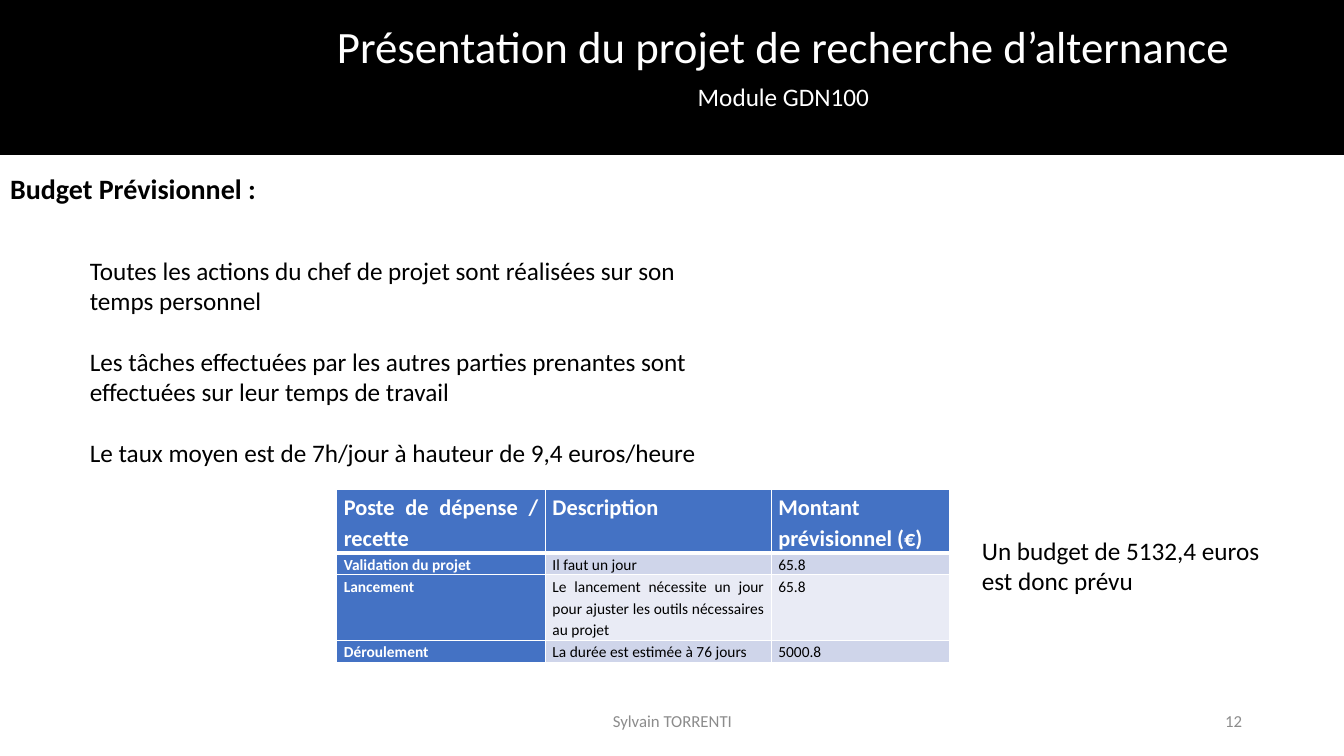
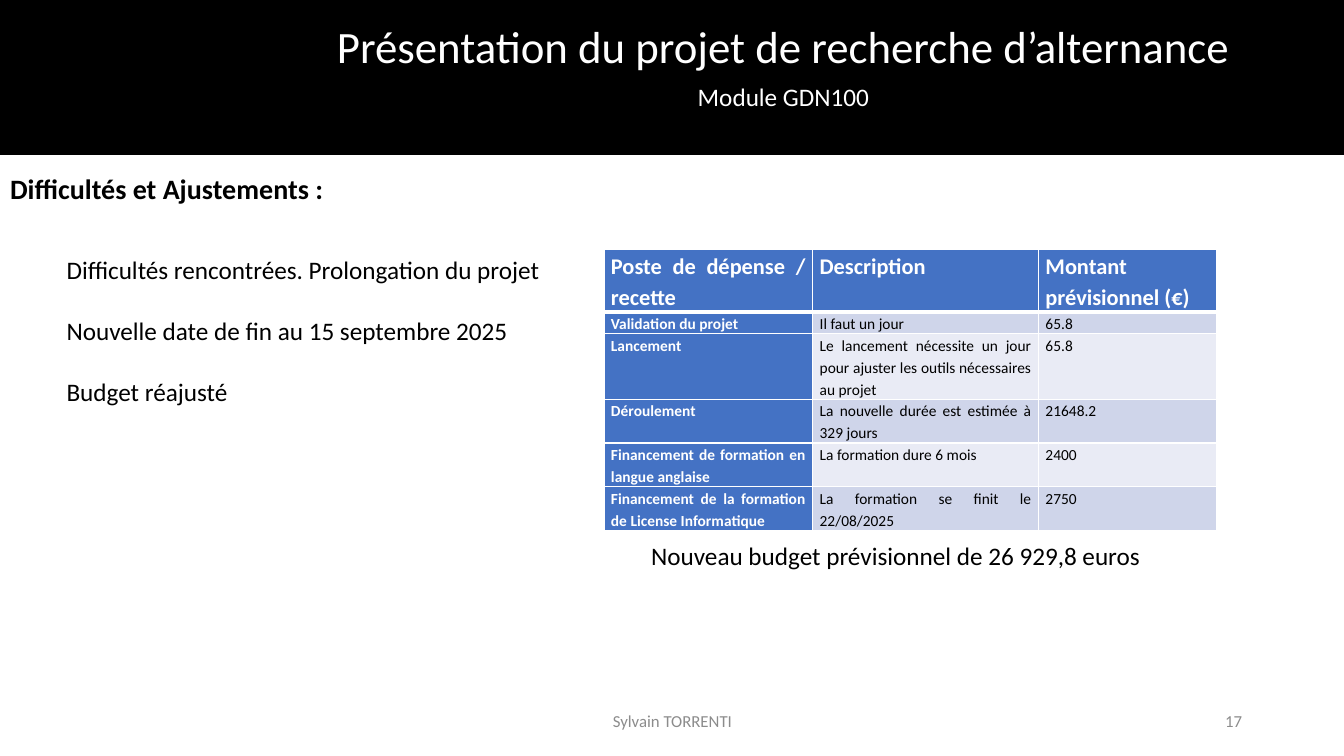
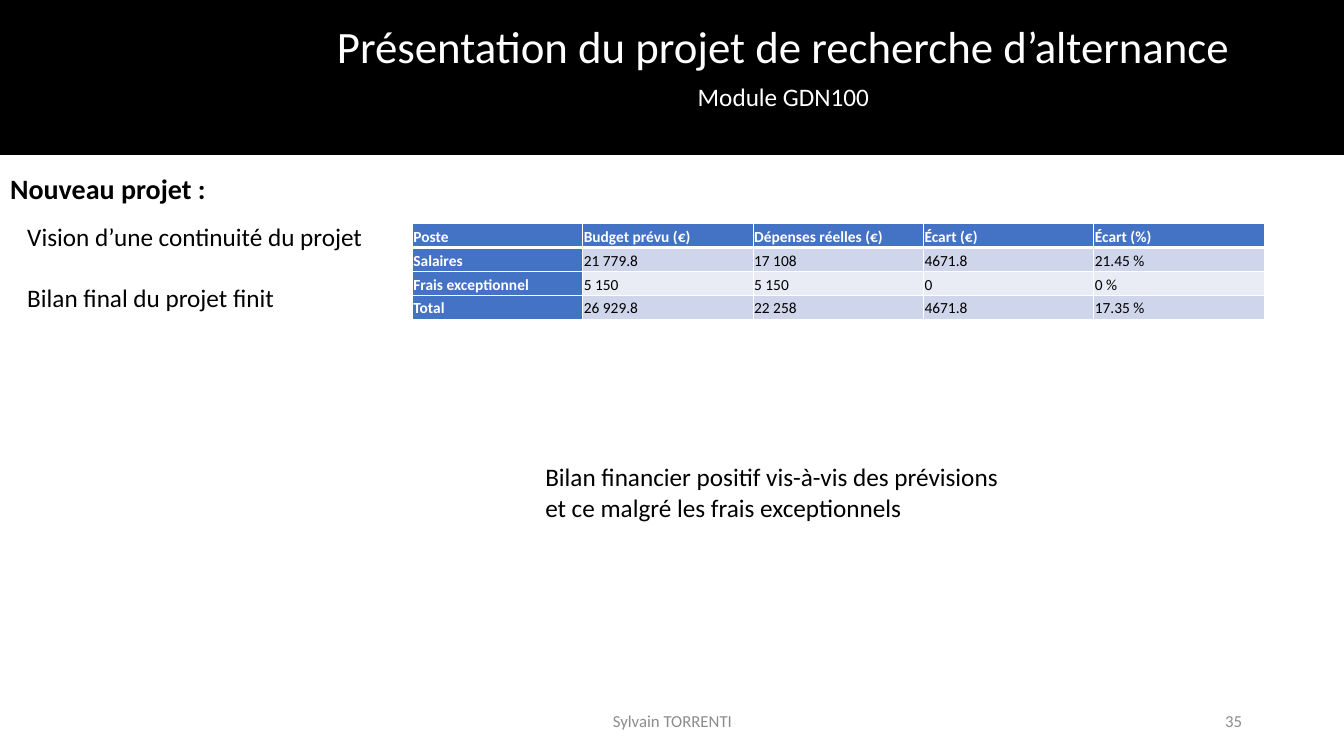
from copy import deepcopy
from dataclasses import dataclass

from lxml import etree
from pptx import Presentation
from pptx.dml.color import RGBColor
from pptx.enum import shapes, text
from pptx.oxml import ns
from pptx.util import Inches, Pt


@dataclass(frozen=True)
class Theme:
    """Colours, font and type sizes shared by the slides."""
    font: str = "Calibri"
    black: str = "000000"
    white: str = "FFFFFF"
    grey: str = "8C8C8C"
    blue: str = "4472C4"
    stripes: tuple = ("CFD5EA", "E9EBF5")
    banner: int = 32
    heading: int = 20
    body: int = 18
    column: int = 16
    footer: int = 12
    cell: int = 11


THEME = Theme()
PROJECT = "Présentation du projet de recherche d’alternance"
MODULE = "Module GDN100"
AUTHOR = "Sylvain TORRENTI"
BUDGET_COLUMNS = ["Poste de dépense / recette", "Description", "Montant prévisionnel (€)"]
BUDGET_START = [
    BUDGET_COLUMNS,
    ["Validation du projet", "Il faut un jour", "65.8"],
    ["Lancement",
     "Le lancement nécessite un jour pour ajuster les outils nécessaires au projet", "65.8"],
]
BUDGET_WIDTHS = [2.07, 2.24, 1.77]
HEADER_HEIGHT, LINE_HEIGHT = 0.6, 0.21


def place(shape, box):
    """Move a shape to a box given in inches."""
    shape.left, shape.top, shape.width, shape.height = map(Inches, box)


def style(paragraph, size, color, bold=False):
    """Set the font of a whole paragraph."""
    font = paragraph.font
    font.name, font.size, font.bold = THEME.font, Pt(size), bold
    font.color.rgb = RGBColor.from_string(color)


def write(frame, lines, size, color, align=text.PP_ALIGN.LEFT,
          anchor=text.MSO_ANCHOR.TOP, bold=False, gap=0):
    """Fill a text frame with evenly spaced paragraphs."""
    frame.text = "\n".join(lines)
    frame.word_wrap = True
    frame.auto_size = text.MSO_AUTO_SIZE.NONE
    frame.vertical_anchor = anchor
    for index, paragraph in enumerate(frame.paragraphs):
        properties = paragraph._p.get_or_add_pPr()
        properties.set("marL", "0")
        properties.set("indent", "0")
        etree.SubElement(properties, ns.qn("a:buNone"))
        paragraph.alignment = align
        paragraph.space_before = Pt(gap if index else 0)
        style(paragraph, size, color, bold)


def add_text(slide, box, lines, size, color, **options):
    """Add a text box and return it."""
    label = slide.shapes.add_textbox(*map(Inches, box))
    write(label.text_frame, lines, size, color, **options)
    return label


def build_banner(slide, layout):
    """Draw the black banner with its titles and hand it to the layout."""
    band = slide.shapes.add_shape(shapes.MSO_SHAPE.RECTANGLE, 0, 0, Inches(13.33), Inches(1.53))
    band.shadow.inherit = False
    band.fill.solid()
    band.fill.fore_color.rgb = RGBColor.from_string(THEME.black)
    band.line.color.rgb = RGBColor.from_string(THEME.black)
    band.line.width = Pt(1)
    center = text.PP_ALIGN.CENTER
    project = add_text(slide, (3.2, 0.14, 9.14, 0.64), [PROJECT],
                       THEME.banner, THEME.white, align=center)
    module = add_text(slide, (3.2, 0.76, 9.14, 0.4), [MODULE],
                      THEME.body, THEME.white, align=center)
    for number, part in enumerate((band, project, module), start=20):
        part.element.xpath(".//p:cNvPr")[0].set("id", str(number))
        layout.shapes.element.append(part.element)


def prepare_layout(layout):
    """Place the heading and footers on the layout and drop the date."""
    boxes = {0: (0, 1.65, 4.07, 0.44), 11: (4.42, 6.95, 4.5, 0.4), 12: (9.42, 6.95, 3, 0.4)}
    for holder in list(layout.placeholders):
        index = holder.placeholder_format.idx
        if index in boxes:
            place(holder, boxes[index])
        elif index == 10:
            holder.element.getparent().remove(holder.element)


def add_footers(slide, layout, number):
    """Add the author and page number footers."""
    footers = {11: (AUTHOR, text.PP_ALIGN.CENTER), 12: (number, text.PP_ALIGN.RIGHT)}
    for holder in layout.placeholders:
        if holder.placeholder_format.idx in footers:
            slide.shapes.element.append(deepcopy(holder.element))
    for holder in slide.placeholders:
        if holder.placeholder_format.idx in footers:
            words, align = footers[holder.placeholder_format.idx]
            write(holder.text_frame, [words], THEME.footer, THEME.grey,
                  align=align, anchor=text.MSO_ANCHOR.MIDDLE)


def border(cell, side, width):
    """Add a white border to one side of a cell."""
    line = etree.SubElement(cell._tc.get_or_add_tcPr(), ns.qn(f"a:ln{side}"), w=str(Pt(width)))
    fill = etree.SubElement(line, ns.qn("a:solidFill"))
    etree.SubElement(fill, ns.qn("a:srgbClr"), val=THEME.white)


def fill_cell(cell, words, row, column, header_size, insets, anchor):
    """Write and colour one cell according to its row and column."""
    heading = row == 0 or column == 0
    widths = {"L": 1, "R": 1, "T": 3 if row == 1 else 1, "B": 3 if row == 0 else 1}
    for side, width in widths.items():
        border(cell, side, width)
    cell.fill.solid()
    cell.fill.fore_color.rgb = RGBColor.from_string(
        THEME.blue if heading else THEME.stripes[(row - 1) % 2])
    cell.margin_left = cell.margin_right = Inches(insets[0])
    cell.margin_top = cell.margin_bottom = Inches(insets[1])
    cell.vertical_anchor = anchor
    cell.text = words
    paragraph = cell.text_frame.paragraphs[0]
    paragraph.alignment = text.PP_ALIGN.JUSTIFY
    paragraph.line_spacing = 1.15
    style(paragraph, header_size if row == 0 else THEME.cell,
          THEME.white if heading else THEME.black, heading)


def add_grid(slide, origin, rows, widths, heights, header_size=THEME.column,
             insets=(0.07, 0), anchor=text.MSO_ANCHOR.TOP):
    """Add a banded table at the given corner."""
    box = (*origin, sum(widths), sum(heights))
    grid = slide.shapes.add_table(len(rows), len(widths), *map(Inches, box)).table
    for column, width in zip(grid.columns, widths):
        column.width = Inches(width)
    for row, height in zip(grid.rows, heights):
        row.height = Inches(height)
    for r, values in enumerate(rows):
        for c, words in enumerate(values):
            fill_cell(grid.cell(r, c), words, r, c, header_size, insets, anchor)


def add_budget(slide, origin, rows, line_counts):
    """Add a budget table whose row heights follow their line counts."""
    heights = [HEADER_HEIGHT] + [LINE_HEIGHT * count for count in line_counts]
    add_grid(slide, origin, rows, BUDGET_WIDTHS, heights)


def fill_page(slide, layout, number, heading, points, points_box, note, note_box):
    """Fill the heading, list, note and footers of a slide."""
    write(slide.shapes.title.text_frame, [heading], THEME.heading, THEME.black, bold=True)
    listing = slide.placeholders[1]
    place(listing, points_box)
    write(listing.text_frame, points, THEME.body, THEME.black, gap=22)
    add_text(slide, note_box, note, THEME.body, THEME.black)
    add_footers(slide, layout, number)


def build_forecast(slide, layout):
    """Build the forecast budget slide."""
    fill_page(slide, layout, "12", "Budget Prévisionnel :", [
        "Toutes les actions du chef de projet sont réalisées sur son temps personnel",
        "Les tâches effectuées par les autres parties prenantes sont effectuées "
        "sur leur temps de travail",
        "Le taux moyen est de 7h/jour à hauteur de 9,4 euros/heure",
    ], (0.79, 2.48, 6.32, 2.22),
        ["Un budget de 5132,4 euros", "est donc prévu"], (9.64, 5.26, 3.1, 0.71))
    add_budget(slide, (3.34, 4.86), BUDGET_START + [
        ["Déroulement", "La durée est estimée à 76 jours", "5000.8"],
    ], [1, 3, 1])


def build_adjustments(slide, layout):
    """Build the difficulties and adjustments slide."""
    fill_page(slide, layout, "17", "Difficultés et Ajustements :", [
        "Difficultés rencontrées. Prolongation du projet",
        "Nouvelle date de fin au 15 septembre 2025",
        "Budget réajusté",
    ], (0.56, 2.47, 5.1, 1.62),
        ["Nouveau budget prévisionnel de 26 929,8 euros"], (6.36, 5.31, 5.2, 0.4))
    add_budget(slide, (5.99, 2.47), BUDGET_START + [
        ["Déroulement", "La nouvelle durée est estimée à 329 jours", "21648.2"],
        ["Financement de formation en langue anglaise", "La formation dure 6 mois", "2400"],
        ["Financement de la formation de License Informatique",
         "La formation se finit le 22/08/2025", "2750"],
    ], [1, 3, 2, 2, 2])


def build_review(slide, layout):
    """Build the final review slide."""
    fill_page(slide, layout, "35", "Nouveau projet :", [
        "Vision d’une continuité du projet",
        "Bilan final du projet finit",
    ], (0.17, 2.15, 3.7, 1.01), [
        "Bilan financier positif vis-à-vis des prévisions",
        "et ce malgré les frais exceptionnels",
    ], (5.31, 4.53, 4.9, 0.71))
    add_grid(slide, (4.09, 2.22), [
        ["Poste", "Budget prévu (€)", "Dépenses réelles (€)", "Écart (€)", "Écart (%)"],
        ["Salaires", "21 779.8", "17 108", "4671.8", "21.45 %"],
        ["Frais exceptionnel", "5 150", "5 150", "0", "0 %"],
        ["Total", "26 929.8", "22 258", "4671.8", "17.35 %"],
    ], [1.69] * 5, [0.23] * 4, THEME.cell, (0.01, 0.01), text.MSO_ANCHOR.MIDDLE)


def main():
    """Build and save the presentation."""
    deck = Presentation()
    deck.slide_width, deck.slide_height = Inches(13.33), Inches(7.5)
    layout = deck.slide_layouts[1]
    prepare_layout(layout)
    builders = (build_forecast, build_adjustments, build_review)
    pages = [deck.slides.add_slide(layout) for _ in builders]
    build_banner(pages[0], layout)
    for build, page in zip(builders, pages):
        build(page, layout)
    deck.save("out.pptx")


if __name__ == "__main__":
    main()
